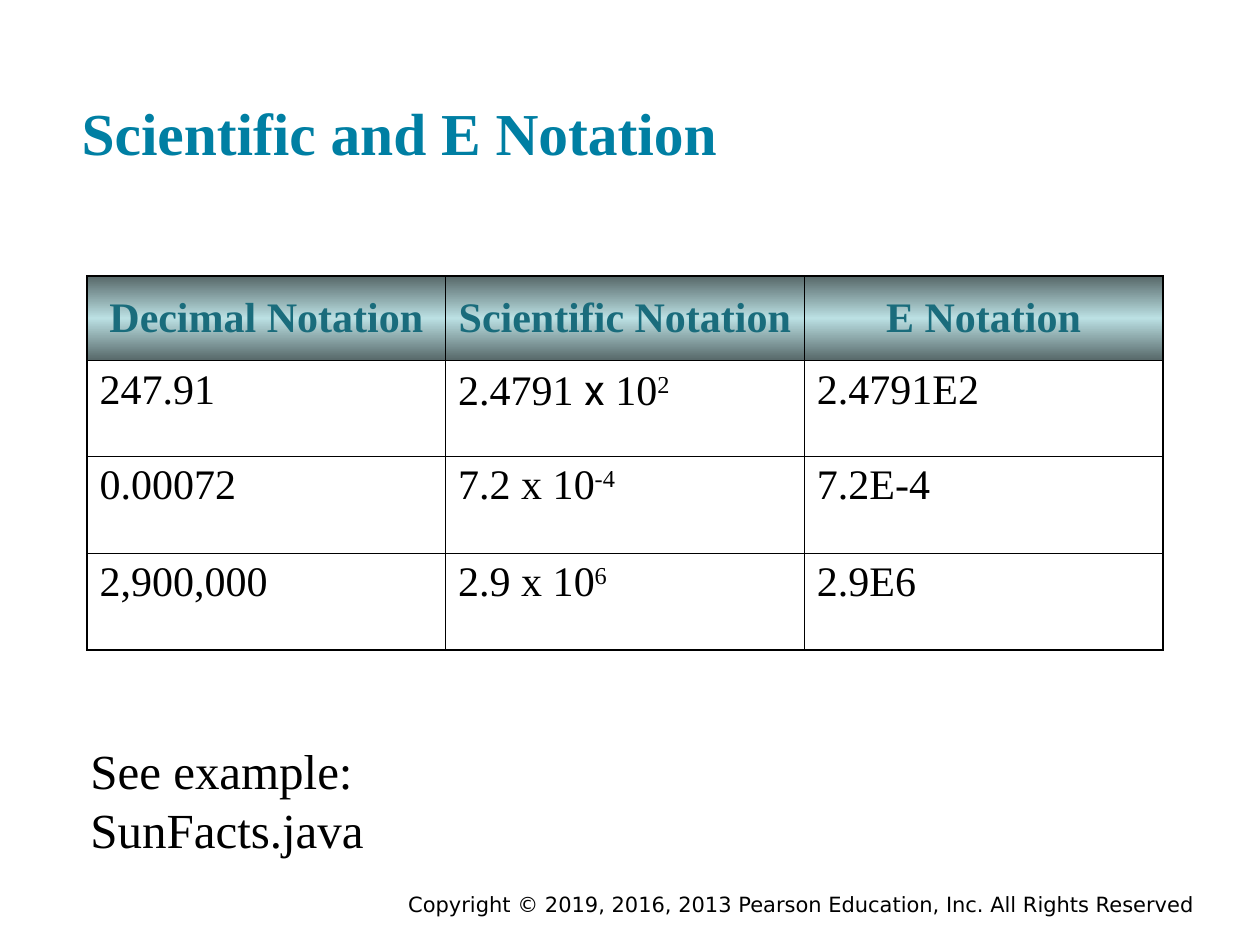
from lxml import etree
from pptx import Presentation
from pptx.dml.color import RGBColor
from pptx.enum.text import MSO_ANCHOR, PP_ALIGN
from pptx.oxml import parse_xml
from pptx.oxml.ns import nsdecls, qn
from pptx.util import Inches, Pt

LEFT, CENTER, RIGHT = PP_ALIGN.LEFT, PP_ALIGN.CENTER, PP_ALIGN.RIGHT
TOP, MIDDLE, BOTTOM = MSO_ANCHOR.TOP, MSO_ANCHOR.MIDDLE, MSO_ANCHOR.BOTTOM

COLORS = {
    "title": "007FA3",
    "header": "1A6C7C",
    "band_edge": "576869",
    "band_middle": "BBE0E3",
    "black": "000000",
}
SERIF, SANS, ROBOTO = "Times New Roman", "DejaVu Sans", "Roboto"
OUTER_LINE, INNER_LINE = Pt(1.08), Pt(0.45)

HEADERS = ["Decimal Notation", "Scientific Notation", "E Notation"]
# Decimal, mantissa, font of the times sign, exponent, E notation
NUMBERS = [
    ("247.91", "2.4791", ROBOTO, "2", "2.4791E2"),
    ("0.00072", "7.2", SERIF, "-4", "7.2E-4"),
    ("2,900,000", "2.9", SERIF, "6", "2.9E6"),
]
ROW_HEIGHTS = [0.67, 0.76, 0.77, 0.77]


def style_font(font, name, size, color, bold=False):
    font.name = name
    font.size = Pt(size)
    font.bold = bold
    font.color.rgb = RGBColor.from_string(COLORS[color])


def add_text(slide, box, text, name, size, color, bold=False,
             align=LEFT, anchor=TOP, margin=0.05, wrap=True):
    shape = slide.shapes.add_textbox(*(Inches(value) for value in box))
    frame = shape.text_frame
    frame.word_wrap = wrap
    frame.vertical_anchor = anchor
    frame.margin_top = frame.margin_bottom = Inches(margin)
    paragraph = frame.paragraphs[0]
    paragraph.text = text
    paragraph.alignment = align
    style_font(paragraph.font, name, size, color, bold)


def set_borders(cell, row, column, last_row, last_column):
    """Heavier lines on the table's outside edges."""
    outside = {
        "lnL": column == 0,
        "lnR": column == last_column,
        "lnT": row == 0,
        "lnB": row == last_row,
    }
    properties = cell._tc.get_or_add_tcPr()
    for index, (tag, is_outside) in enumerate(outside.items()):
        line = etree.Element(qn(f"a:{tag}"))
        line.set("w", str(OUTER_LINE if is_outside else INNER_LINE))
        fill = etree.SubElement(line, qn("a:solidFill"))
        etree.SubElement(fill, qn("a:srgbClr")).set("val", COLORS["black"])
        properties.insert(index, line)


def fill_header(cell):
    """Vertical gradient, light in the middle."""
    stops = [(0, "band_edge"), (50000, "band_middle"), (100000, "band_edge")]
    stop_xml = "".join(
        f'<a:gs pos="{position}"><a:srgbClr val="{COLORS[color]}"/></a:gs>'
        for position, color in stops)
    cell._tc.get_or_add_tcPr().append(parse_xml(
        f'<a:gradFill {nsdecls("a")}><a:gsLst>{stop_xml}</a:gsLst>'
        '<a:lin ang="5400000" scaled="0"/></a:gradFill>'))


def write_power(paragraph, mantissa, sign_font, exponent):
    pieces = [(f"{mantissa} ", SERIF), ("x ", sign_font),
              ("10", SERIF), (exponent, SERIF)]
    for text, name in pieces:
        run = paragraph.add_run()
        run.text = text
        style_font(run.font, name, 24, "black")
    run._r.get_or_add_rPr().set("baseline", "30000")


def add_notation_table(slide, box):
    rows, columns = len(NUMBERS) + 1, len(HEADERS)
    frame = slide.shapes.add_table(
        rows, columns, *(Inches(value) for value in box))
    table = frame.table
    table.first_row = table.horz_banding = False
    for row, height in zip(table.rows, ROW_HEIGHTS):
        row.height = Inches(height)

    # Header row
    for column, header in enumerate(HEADERS):
        cell = table.cell(0, column)
        cell.vertical_anchor = MIDDLE
        fill_header(cell)
        paragraph = cell.text_frame.paragraphs[0]
        paragraph.text = header
        paragraph.alignment = CENTER
        style_font(paragraph.font, SERIF, 24, "header", True)

    # Number rows
    for row, (decimal, *power, e_notation) in enumerate(NUMBERS, 1):
        for column, text in ((0, decimal), (2, e_notation)):
            paragraph = table.cell(row, column).text_frame.paragraphs[0]
            paragraph.text = text
            style_font(paragraph.font, SERIF, 24, "black")
        write_power(table.cell(row, 1).text_frame.paragraphs[0], *power)
        for column in range(columns):
            table.cell(row, column).fill.background()

    for row in range(rows):
        for column in range(columns):
            set_borders(table.cell(row, column), row, column,
                        rows - 1, columns - 1)


def main():
    presentation = Presentation()
    presentation.slide_width = Inches(10)
    presentation.slide_height = Inches(7.5)
    slide = presentation.slides.add_slide(presentation.slide_layouts[6])

    # Copyright line
    add_text(slide, (1.75, 7.03, 7.83, 0.22),
             "Copyright © 2019, 2016, 2013 Pearson Education, Inc. "
             "All Rights Reserved", SANS, 12, "black", align=RIGHT)
    # Title
    add_text(slide, (0.55, 0.23, 9, 1.2), "Scientific and E Notation",
             SERIF, 34, "title", bold=True, anchor=BOTTOM, margin=0.1)
    # Example reference
    add_text(slide, (0.62, 5.83, 4.54, 0.57), "See example: SunFacts.java",
             SERIF, 28, "black", wrap=False)
    add_notation_table(slide, (0.69, 2.19, 8.54, 2.97))

    presentation.save("out.pptx")


if __name__ == "__main__":
    main()
